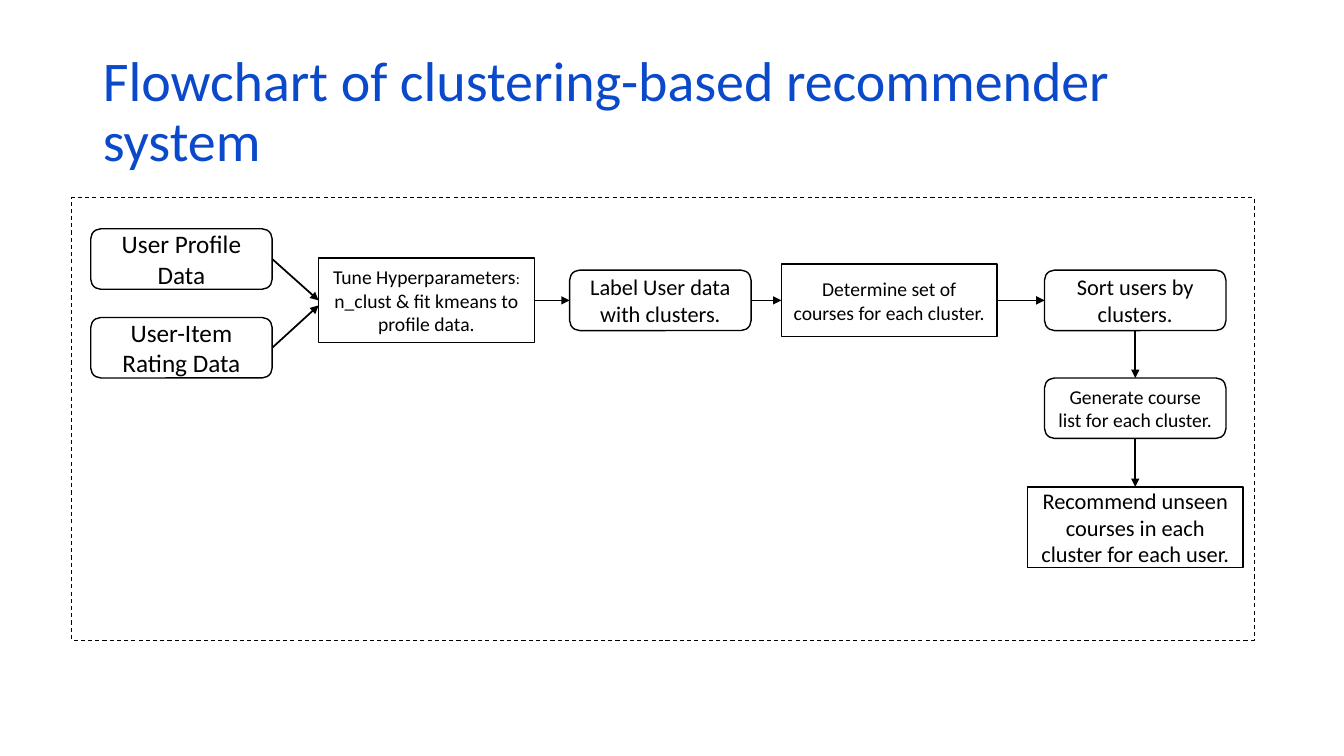
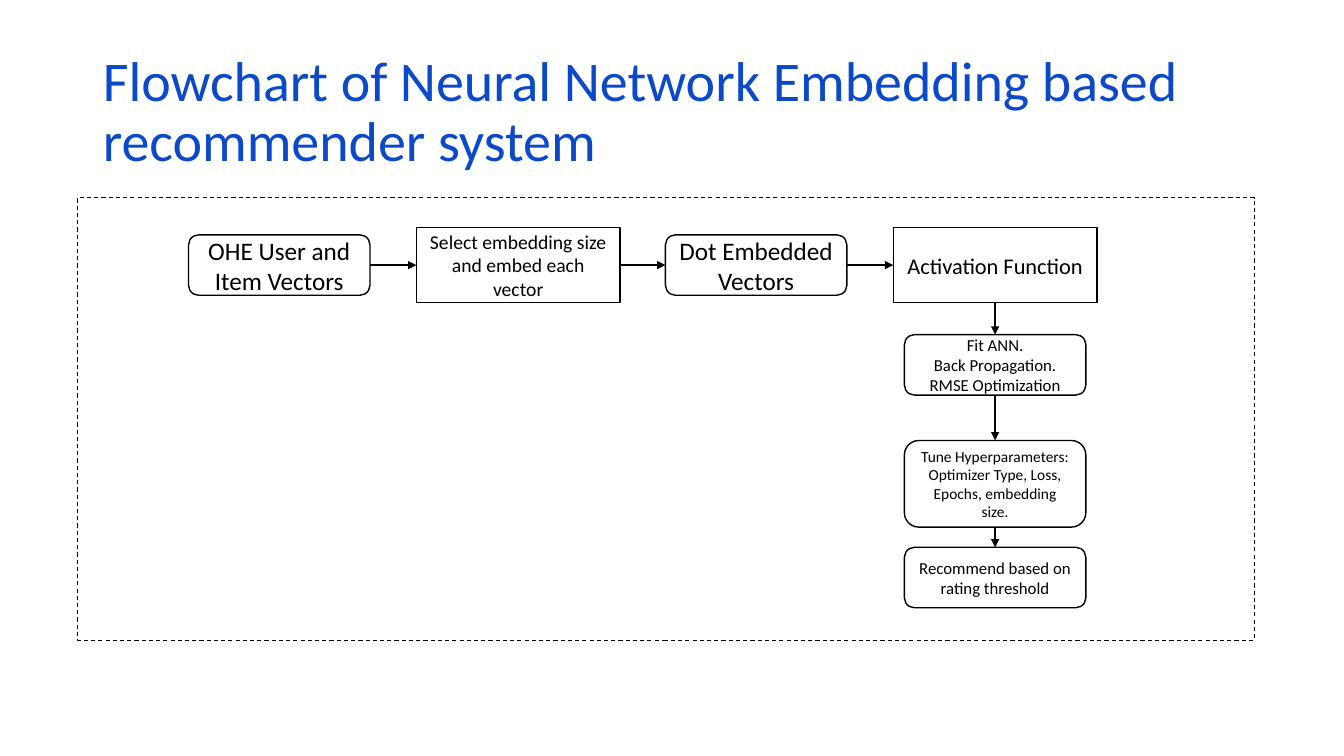
from dataclasses import dataclass
from typing import Any, NamedTuple

from pptx import Presentation
from pptx import util as u
from pptx.dml.color import RGBColor
from pptx.enum import dml, shapes, text
from pptx.oxml import ns, xmlchemy as xml

PX = 9144  # 100 px to the inch
WIDE, HIGH = 1333, 750

BLUE = RGBColor(0x0B, 0x49, 0xCB)
BLACK = RGBColor(0, 0, 0)
WHITE = RGBColor(0xFF, 0xFF, 0xFF)
FONT = "Calibri"

TITLE = {"left": 92 * PX, "top": 40 * PX, "width": 1150 * PX, "height": 145 * PX}
TITLE_FRAME = {
    "word_wrap": True,
    "auto_size": text.MSO_AUTO_SIZE.NONE,
    "vertical_anchor": text.MSO_ANCHOR.MIDDLE,
}
TITLE_PARA = {"alignment": text.PP_ALIGN.LEFT, "line_spacing": 0.9}
NODE_FRAME = {"word_wrap": True, "vertical_anchor": text.MSO_ANCHOR.MIDDLE}
NODE_PARA = {"alignment": text.PP_ALIGN.CENTER}
DASHED = {"width": u.Pt(0.75), "dash_style": dml.MSO_LINE.DASH}

TOP, LEFT, BOTTOM, RIGHT = range(4)


class Run(NamedTuple):
    text: str
    size: int


Paras = list[list[Run]]


def say(words: str, size: int) -> Paras:
    """Make one paragraph of a single size from each line."""
    return [[Run(line, size)] for line in words.split("\n")]


@dataclass
class Node:
    """A step of the flow, placed by its centre."""
    x: int
    y: int
    paras: Paras
    w: int = 180
    h: int = 60
    round: bool = True


@dataclass
class Link:
    """An arrow between side middles; drop lowers its end below the middle."""
    start: str
    end: str
    exit: int = RIGHT
    entry: int = LEFT
    drop: int = 0


@dataclass
class Chart:
    title: str
    left: int
    nodes: dict[str, Node]
    links: list[Link]


def box(x: int, y: int, paras: Paras, w: int = 214, h: int = 72) -> Node:
    return Node(x, y, paras, w, h, round=False)


def down(start: str, end: str) -> Link:
    return Link(start, end, BOTTOM, TOP)


ROW, COL = 298, 1126
CLUSTER = Chart(
    "Flowchart of clustering-based recommender system",
    71,
    {
        "user": Node(180, 257, say("User Profile Data", 18)),
        "item": Node(180, 345, say("User-Item Rating Data", 18)),
        "tune": box(423, ROW, [[
            Run("Tune Hyperparameters", 14),
            Run(": ", 11),
            Run("n_clust & fit kmeans to profile data.", 14),
        ]], h=84),
        "label": Node(655, ROW, say("Label User data with clusters.", 16)),
        "set": box(882, ROW, say("Determine set of courses for each cluster.", 14)),
        "sort": Node(COL, ROW, say("Sort users by clusters.", 16)),
        "list": Node(COL, 405, say("Generate course list for each cluster.", 14)),
        "show": box(COL, 523, say(
            "Recommend unseen courses in each cluster for each user.", 16), h=80),
    },
    [
        Link("user", "tune"),
        Link("item", "tune", drop=5),
        Link("tune", "label"),
        Link("label", "set"),
        Link("set", "sort"),
        down("sort", "list"),
        down("list", "show"),
    ],
)

LANE, STACK = 263, 987
NEURAL = Chart(
    "Flowchart of Neural Network Embedding based recommender system",
    77,
    {
        "ohe": Node(277, LANE, say("OHE User and Item Vectors", 18)),
        "embed": box(514, LANE, say(
            "Select embedding size and embed each vector", 14), 202, 74),
        "dot": Node(750, LANE, say("Dot Embedded Vectors", 18)),
        "act": box(STACK, LANE, say("Activation Function", 16), 202, 74),
        "fit": Node(STACK, 362, say(
            "Fit ANN.\nBack Propagation. RMSE Optimization", 12)),
        "tune": Node(STACK, 480, say(
            "Tune Hyperparameters:\nOptimizer Type, Loss,\nEpochs, embedding size.",
            11), h=86),
        "show": Node(STACK, 573, say("Recommend based on rating threshold", 12)),
    },
    [
        Link("ohe", "embed"),
        Link("embed", "dot"),
        Link("dot", "act"),
        down("act", "fit"),
        down("fit", "tune"),
        down("tune", "show"),
    ],
)


def put(item: Any, values: dict[str, Any]) -> None:
    for name, value in values.items():
        setattr(item, name, value)


def write(frame: Any, paras: Paras, form: dict[str, Any], color: RGBColor) -> None:
    for i, runs in enumerate(paras):
        para = frame.paragraphs[0] if i == 0 else frame.add_paragraph()
        put(para, form)
        for words, size in runs:
            run = para.add_run()
            run.text = words
            put(run.font, {"name": FONT, "size": u.Pt(size)})
            run.font.color.rgb = color


def add_box(slide: Any, kind: Any, x: int, y: int, w: int, h: int) -> Any:
    shape = slide.shapes.add_shape(kind, x * PX, y * PX, w * PX, h * PX)
    shape.shadow.inherit = False
    shape.fill.background()
    shape.line.color.rgb = BLACK
    return shape


def add_node(slide: Any, node: Node) -> Any:
    kinds = shapes.MSO_SHAPE
    kind = kinds.ROUNDED_RECTANGLE if node.round else kinds.RECTANGLE
    shape = add_box(slide, kind, node.x - node.w // 2, node.y - node.h // 2,
                    node.w, node.h)
    shape.line.width = u.Pt(1)
    if not node.round:
        shape.fill.solid()
        shape.fill.fore_color.rgb = WHITE
    put(shape.text_frame, NODE_FRAME)
    write(shape.text_frame, node.paras, NODE_PARA, BLACK)
    return shape


def add_link(slide: Any, link: Link, made: dict[str, Any]) -> None:
    end = made[link.end]
    arrow = slide.shapes.add_connector(shapes.MSO_CONNECTOR.STRAIGHT, 0, 0, 0, 0)
    arrow.begin_connect(made[link.start], link.exit)
    if link.drop:
        arrow.end_x = end.left
        arrow.end_y = end.top + end.height // 2 + link.drop * PX
    else:
        arrow.end_connect(end, link.entry)
    arrow.line.color.rgb = BLACK
    arrow.line.width = u.Pt(1.25)
    props = arrow.element.spPr
    tail = xml.OxmlElement("a:tailEnd")
    tail.set("type", "triangle")
    props.find(ns.qn("a:ln")).append(tail)
    props.append(xml.OxmlElement("a:effectLst"))


def add_chart(deck: Any, chart: Chart) -> None:
    """Add a slide with its title, dashed border, steps and arrows."""
    slide = deck.slides.add_slide(deck.slide_layouts.get_by_name("Title Only"))
    title = slide.shapes.title
    put(title, TITLE)
    put(title.text_frame, TITLE_FRAME)
    write(title.text_frame, say(chart.title, 40), TITLE_PARA, BLUE)
    border = add_box(slide, shapes.MSO_SHAPE.RECTANGLE,
                     chart.left, 196, 1244 - chart.left, 439)
    put(border.line, DASHED)
    made = {name: add_node(slide, node) for name, node in chart.nodes.items()}
    for link in chart.links:
        add_link(slide, link, made)


def main() -> None:
    deck = Presentation()
    put(deck, {"slide_width": WIDE * PX, "slide_height": HIGH * PX})
    for chart in (CLUSTER, NEURAL):
        add_chart(deck, chart)
    deck.save("out.pptx")


if __name__ == "__main__":
    main()
